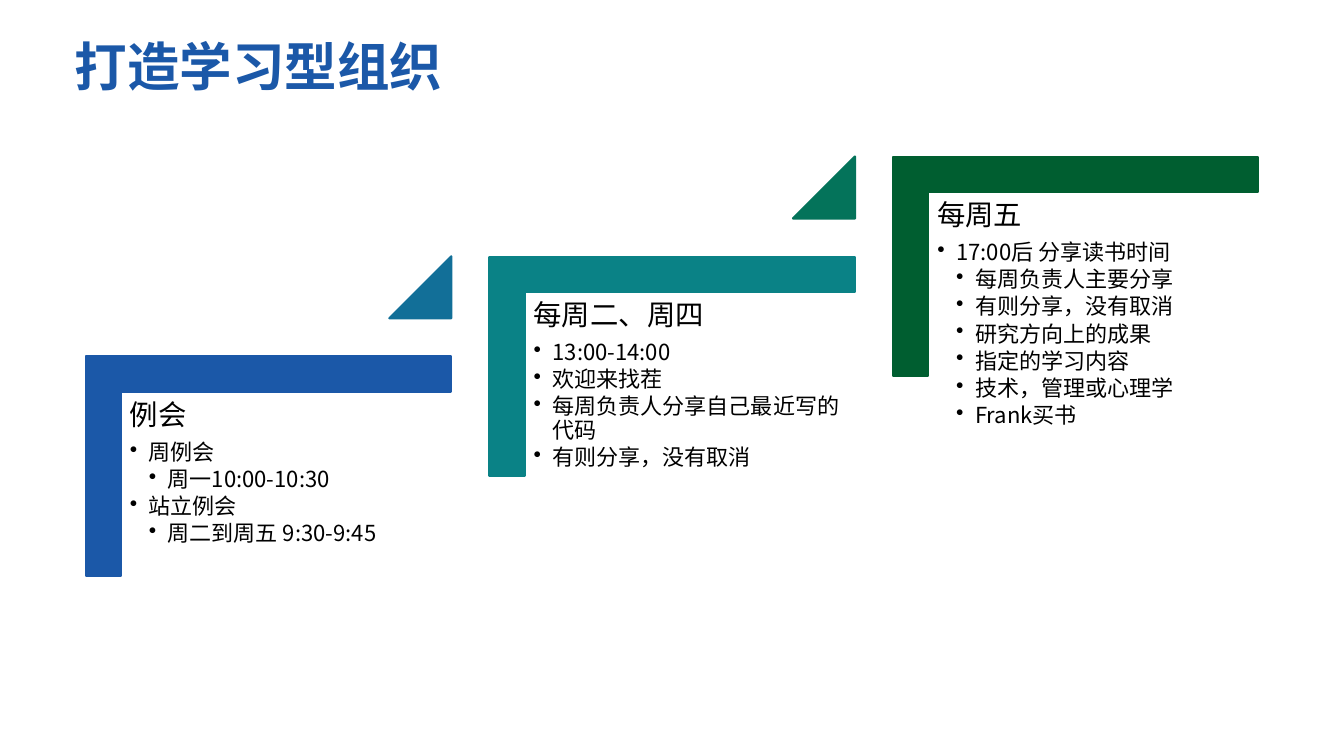
from dataclasses import dataclass

from lxml import etree
from pptx import Presentation
from pptx.dml.color import RGBColor
from pptx.enum.shapes import MSO_SHAPE
from pptx.enum.text import MSO_ANCHOR
from pptx.oxml.ns import qn
from pptx.util import Inches, Pt

CORNER = MSO_SHAPE.CORNER
TRIANGLE = MSO_SHAPE.ISOSCELES_TRIANGLE
TOP = MSO_ANCHOR.TOP


@dataclass(frozen=True)
class Theme:
    font: str = "Noto Sans CJK SC"
    title: str = "1B58A8"
    text: str = "000000"
    steps: tuple = ("1B58A8", "0A8286", "005E30")
    links: tuple = ("126F98", "04735A")
    title_size: int = 50
    head_size: int = 27
    item_size: int = 21
    line_width: int = 2
    body_spacing: float = 0.9
    head_after: float = 9.45
    item_after: float = 3.15
    indent: float = 0.25


class Deck:
    def __init__(self, slide, theme):
        self.s = slide
        self.theme = theme

    def shape(self, kind, box, color, adjustments, rotation=0):
        sp = self.s.shapes.add_shape(kind, *map(Inches, box))
        sp.shadow.inherit = False
        sp.rotation = rotation
        for i, value in enumerate(adjustments):
            sp.adjustments[i] = value
        sp.fill.solid()
        sp.fill.fore_color.rgb = RGBColor.from_string(color)
        sp.line.color.rgb = RGBColor.from_string(color)
        sp.line.width = Pt(self.theme.line_width)

    def frame(self, box, margins):
        tf = self.s.shapes.add_textbox(*map(Inches, box)).text_frame
        tf.word_wrap = True
        tf.vertical_anchor = TOP
        tf.margin_left = tf.margin_right = Inches(margins[0])
        tf.margin_top = tf.margin_bottom = Inches(margins[1])
        return tf

    def run(self, p, text, size, color, bold=False):
        r = p.add_run()
        r.text = text
        r.font.size = Pt(size)
        r.font.bold = bold
        r.font.name = self.theme.font
        r.font.color.rgb = RGBColor.from_string(color)
        ea = etree.SubElement(r.font._element, qn("a:ea"))
        ea.set("typeface", self.theme.font)

    def bullet(self, p, level):
        pPr = p._p.get_or_add_pPr()
        pPr.set("marL", str(Inches(level * self.theme.indent)))
        pPr.set("indent", str(-Inches(self.theme.indent)))
        etree.SubElement(pPr, qn("a:buChar")).set("char", "•")

    def title(self, text, box):
        t = self.theme
        p = self.frame(box, (0.1, 0.05)).paragraphs[0]
        self.run(p, text, t.title_size, t.title, True)

    def body(self, head, items, box):
        t = self.theme
        tf = self.frame(box, (0.11, 0.11))
        p = tf.paragraphs[0]
        p.line_spacing = t.body_spacing
        p.space_after = Pt(t.head_after)
        self.run(p, head, t.head_size, t.text)
        for level, text in items:
            p = tf.add_paragraph()
            p.level = level
            self.bullet(p, level)
            p.line_spacing = t.body_spacing
            p.space_after = Pt(t.item_after)
            self.run(p, text, t.item_size, t.text)


STEPS = [
    ("例会", [(1, "周例会"), (2, "周一10:00-10:30"),
            (1, "站立例会"), (2, "周二到周五 9:30-9:45")]),
    ("每周二、周四", [(1, "13:00-14:00"), (1, "欢迎来找茬"),
                (1, "每周负责人分享自己最近写的代码"),
                (1, "有则分享，没有取消")]),
    ("每周五", [(1, "17:00后 分享读书时间"), (2, "每周负责人主要分享"),
             (2, "有则分享，没有取消"), (2, "研究方向上的成果"),
             (2, "指定的学习内容"), (2, "技术，管理或心理学"),
             (2, "Frank买书")]),
]
STEP_X, STEP_Y = 5.34, -1.32


def main():
    prs = Presentation()
    prs.slide_width, prs.slide_height = Inches(17.78), Inches(10)
    theme = Theme()
    deck = Deck(prs.slides.add_slide(prs.slide_layouts[6]), theme)
    for i, (head, items) in enumerate(STEPS):
        dx, dy = i * STEP_X, i * STEP_Y
        deck.shape(CORNER, (2.1 + dx, 3.75 + dy, 2.9, 4.83),
                   theme.steps[i], (0.16, 0.16), 90)
        deck.body(head, items, (1.61 + dx, 5.19 + dy, 4.36, 3.82))
        if i < len(theme.links):
            deck.shape(TRIANGLE, (5.15 + dx, 3.39 + dy, 0.82, 0.82),
                       theme.links[i], (1,))
    deck.title("打造学习型组织", (0.89, 0.4, 16, 1.67))
    prs.save("out.pptx")


if __name__ == "__main__":
    main()
